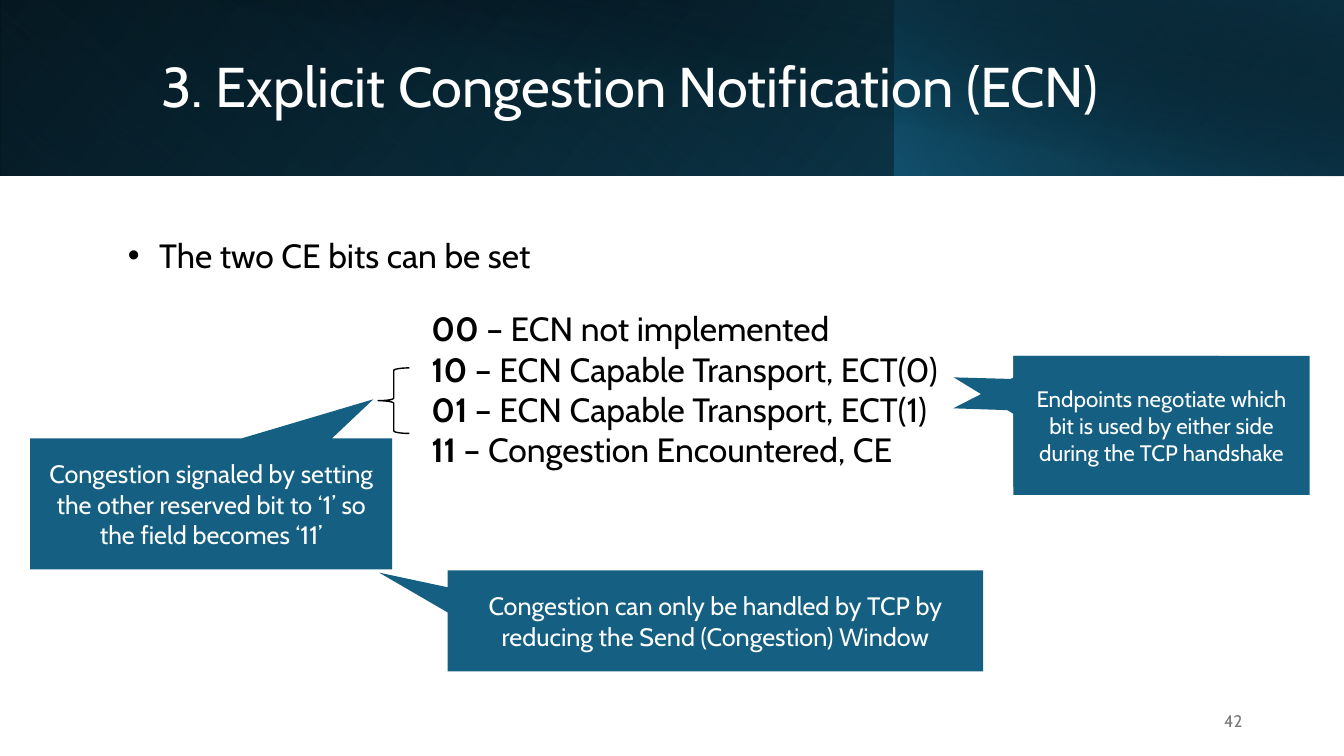
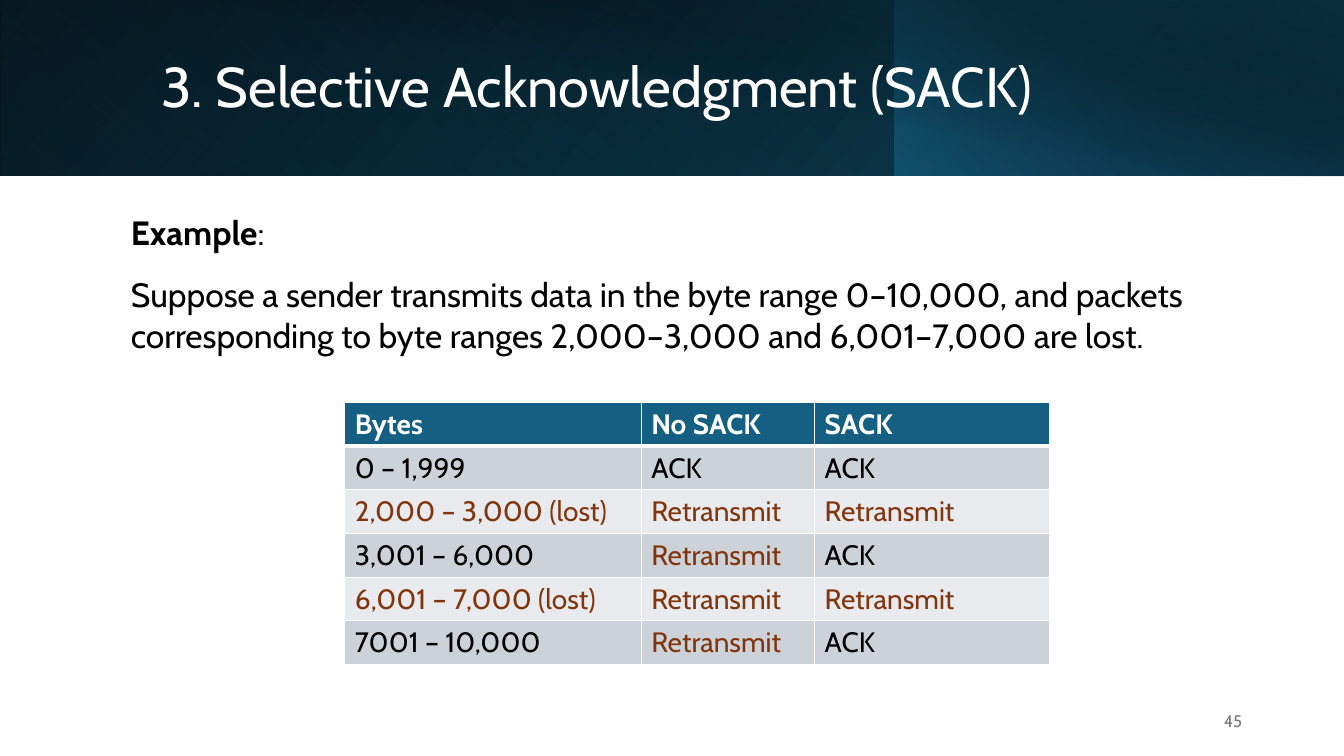
from pptx import Presentation
from pptx.dml.color import RGBColor
from pptx.enum import shapes, text
from pptx.oxml import ns, xmlchemy
from pptx.util import Inches, Pt

FONT = "Cabin"
WHITE, BLACK, GREY = "FFFFFF", "000000", "797979"
TEAL, RUST = "156082", "80350E"
ROW_FILLS = ("CCD2D8", "E8EAED")

# box, flipped, rotation, gradient angle, stops of (position, colour, opacity)
BAND_LAYERS = [
    ((0, 0, 13.33, 1.74), True, 0, 140, [(0, BLACK, 100), (100, "104862", 100)]),
    ((0, 0, 8.88, 1.74), True, 180, 230, [(20, TEAL, 0), (100, "0B3041", 55)]),
    ((8.87, 0, 4.46, 1.74), True, 0, 220, [(0, TEAL, 66), (100, BLACK, 30)]),
    ((0.5, 0, 12.83, 1.75), False, 0, 280, [(50, BLACK, 0), (99, "0B3041", 52)]),
]

CE_CODES = [
    ("00", " – ECN not implemented"),
    ("10", " – ECN Capable Transport, ECT(0)"),
    ("01", " – ECN Capable Transport, ECT(1)"),
    ("11", " – Congestion Encountered, CE"),
]

# box, tail tip relative to the centre, text, size
CALLOUTS = [
    ((4.44, 5.66, 5.31, 1), (-0.628, -0.478),
     "Congestion can only be handled by TCP by reducing the Send (Congestion) Window", 18),
    ((10.05, 3.53, 2.04, 1.3), (-0.792, -0.099), "", 16),
    ((10.05, 3.53, 2.94, 1.38), (-0.701, -0.345),
     "Endpoints negotiate which bit is used by either side during the TCP handshake", 16),
    ((0.3, 4.35, 3.59, 1.3), (0.448, -0.799),
     "Congestion signaled by setting the other reserved bit to ‘1’ so the field becomes ‘11’", 18),
]

SACK_EXAMPLE = [
    ("Example", ":"),
    ("", "Suppose a sender transmits data in the byte range 0–10,000, and packets "
         "corresponding to byte ranges 2,000–3,000 and 6,001–7,000 are lost."),
]
SACK_ROWS = [
    ("Bytes", "No SACK", "SACK"),
    ("0 – 1,999", "ACK", "ACK"),
    ("2,000 – 3,000 (lost)", "Retransmit", "Retransmit"),
    ("3,001 – 6,000", "Retransmit", "ACK"),
    ("6,001 – 7,000 (lost)", "Retransmit", "Retransmit"),
    ("7001 – 10,000", "Retransmit", "ACK"),
]
SACK_COLUMNS = (2.94, 1.72, 2.33)
SACK_ROW_HEIGHT = 0.43


def color(hex_code):
    return RGBColor.from_string(hex_code)


def inches(box):
    return [Inches(length) for length in box]


def set_font(paragraph, size, hex_code, bold=None):
    font = paragraph.font
    font.name, font.size, font.bold = FONT, Pt(size), bold
    font.color.rgb = color(hex_code)


def add_shape(slide, kind, box):
    shape = slide.shapes.add_shape(kind, *inches(box))
    shape.shadow.inherit = False
    shape.line.fill.background()
    return shape


def add_text(slide, box, paragraphs, size, hex_code=BLACK, anchor=text.MSO_ANCHOR.TOP):
    """Each paragraph is a (bold lead, plain rest) pair; returns the paragraphs."""
    frame = slide.shapes.add_textbox(*inches(box)).text_frame
    frame.word_wrap = True
    frame.vertical_anchor = anchor
    for index, (lead, rest) in enumerate(paragraphs):
        paragraph = frame.add_paragraph() if index else frame.paragraphs[0]
        set_font(paragraph, size, hex_code)
        if lead:
            run = paragraph.add_run()
            run.text, run.font.bold = lead, True
        paragraph.add_run().text = rest
    return frame.paragraphs


def add_band_layer(slide, box, flipped, rotation, angle, stops):
    layer = add_shape(slide, shapes.MSO_SHAPE.RECTANGLE, box)
    layer.rotation = rotation
    properties = layer._element.spPr
    if flipped:
        properties.find(ns.qn("a:xfrm")).set("flipH", "1")
    layer.fill.gradient()
    layer.fill.gradient_angle = 360 - angle  # python-pptx counts anticlockwise
    for stop, (position, hex_code, _) in zip(layer.fill.gradient_stops, stops):
        stop.position = position / 100
        stop.color.rgb = color(hex_code)
    for tint, (_, _, opacity) in zip(properties.iter(ns.qn("a:srgbClr")), stops):
        alpha = xmlchemy.OxmlElement("a:alpha")
        alpha.set("val", str(opacity * 1000))
        tint.append(alpha)


def add_slide(presentation, title, number):
    slide = presentation.slides.add_slide(presentation.slide_layouts[6])
    for layer in BAND_LAYERS:
        add_band_layer(slide, *layer)
    middle = text.MSO_ANCHOR.MIDDLE
    heading = add_text(slide, (1.5, 0.32, 10.82, 1.13), [("", title)], 40, WHITE, middle)[0]
    heading.line_spacing = 0.9
    footer = add_text(slide, (9.42, 6.95, 3, 0.4), [("", number)], 12, GREY, middle)[0]
    footer.alignment = text.PP_ALIGN.RIGHT
    return slide


def add_bullet(paragraph, indent):
    properties = paragraph._p.get_or_add_pPr()
    properties.set("marL", str(Inches(indent)))
    properties.set("indent", str(-Inches(indent)))
    for tag, name, value in (("a:buFont", "typeface", "Arial"), ("a:buChar", "char", "•")):
        element = xmlchemy.OxmlElement(tag)
        element.set(name, value)
        # bullet elements stand before the default run properties
        default_run = properties.find(ns.qn("a:defRPr"))
        if default_run is None:
            properties.append(element)
        else:
            default_run.addprevious(element)


def add_callout(slide, box, tip, words, size):
    callout = add_shape(slide, shapes.MSO_SHAPE.RECTANGULAR_CALLOUT, box)
    callout.fill.solid()
    callout.fill.fore_color.rgb = color(TEAL)
    for index, offset in enumerate(tip):
        callout.adjustments[index] = offset
    if words:
        frame = callout.text_frame
        frame.word_wrap = True
        frame.vertical_anchor = text.MSO_ANCHOR.MIDDLE
        paragraph = frame.paragraphs[0]
        paragraph.text = words
        paragraph.alignment = text.PP_ALIGN.CENTER
        set_font(paragraph, size, WHITE)


def set_borders(cell, **widths):
    """Draw white borders; the keywords L, R, T and B give widths in points."""
    for side, width in widths.items():
        line = xmlchemy.OxmlElement(f"a:ln{side}")
        line.set("w", str(Pt(width)))
        fill = xmlchemy.OxmlElement("a:solidFill")
        tint = xmlchemy.OxmlElement("a:srgbClr")
        tint.set("val", WHITE)
        fill.append(tint)
        line.append(fill)
        cell._tc.get_or_add_tcPr().append(line)


def add_sack_table(slide, left, top):
    box = (left, top, sum(SACK_COLUMNS), SACK_ROW_HEIGHT * len(SACK_ROWS))
    table = slide.shapes.add_table(len(SACK_ROWS), len(SACK_COLUMNS), *inches(box)).table
    for column, width in zip(table.columns, SACK_COLUMNS):
        column.width = Inches(width)
    for row, values in enumerate(SACK_ROWS):
        header = row == 0
        for column, value in enumerate(values):
            cell = table.cell(row, column)
            set_borders(cell, L=1, R=1, T=3 if row == 1 else 1, B=3 if header else 1)
            cell.fill.solid()
            cell.fill.fore_color.rgb = color(TEAL if header else ROW_FILLS[(row - 1) % 2])
            resent = "lost" in value or value == "Retransmit"
            paragraph = cell.text_frame.paragraphs[0]
            paragraph.text = value
            set_font(paragraph, 20, WHITE if header else RUST if resent else BLACK, header)


def build_ecn_slide(presentation):
    slide = add_slide(presentation, "3. Explicit Congestion Notification (ECN)", "42")
    add_text(slide, (4.18, 3.01, 9, 1.92), CE_CODES, 24)
    brace = add_shape(slide, shapes.MSO_SHAPE.LEFT_BRACE, (3.75, 3.65, 0.31, 0.65))
    brace.fill.background()
    brace.line.color.rgb = color(BLACK)
    brace.line.width = Pt(1)
    for callout in CALLOUTS:
        add_callout(slide, *callout)
    bullet = add_text(slide, (1.17, 2.28, 4.65, 0.91), [("", "The two CE bits can be set")], 24)[0]
    add_bullet(bullet, 0.31)


def build_sack_slide(presentation):
    slide = add_slide(presentation, "3. Selective Acknowledgment (SACK)", "45")
    for paragraph in add_text(slide, (1.2, 2.05, 11.47, 1.8), SACK_EXAMPLE, 24):
        paragraph.space_before, paragraph.space_after = Pt(10), Pt(6)
    add_sack_table(slide, 3.42, 3.99)


def main():
    presentation = Presentation()
    presentation.slide_width, presentation.slide_height = Inches(13.33), Inches(7.5)
    build_ecn_slide(presentation)
    build_sack_slide(presentation)
    presentation.save("out.pptx")


if __name__ == "__main__":
    main()
